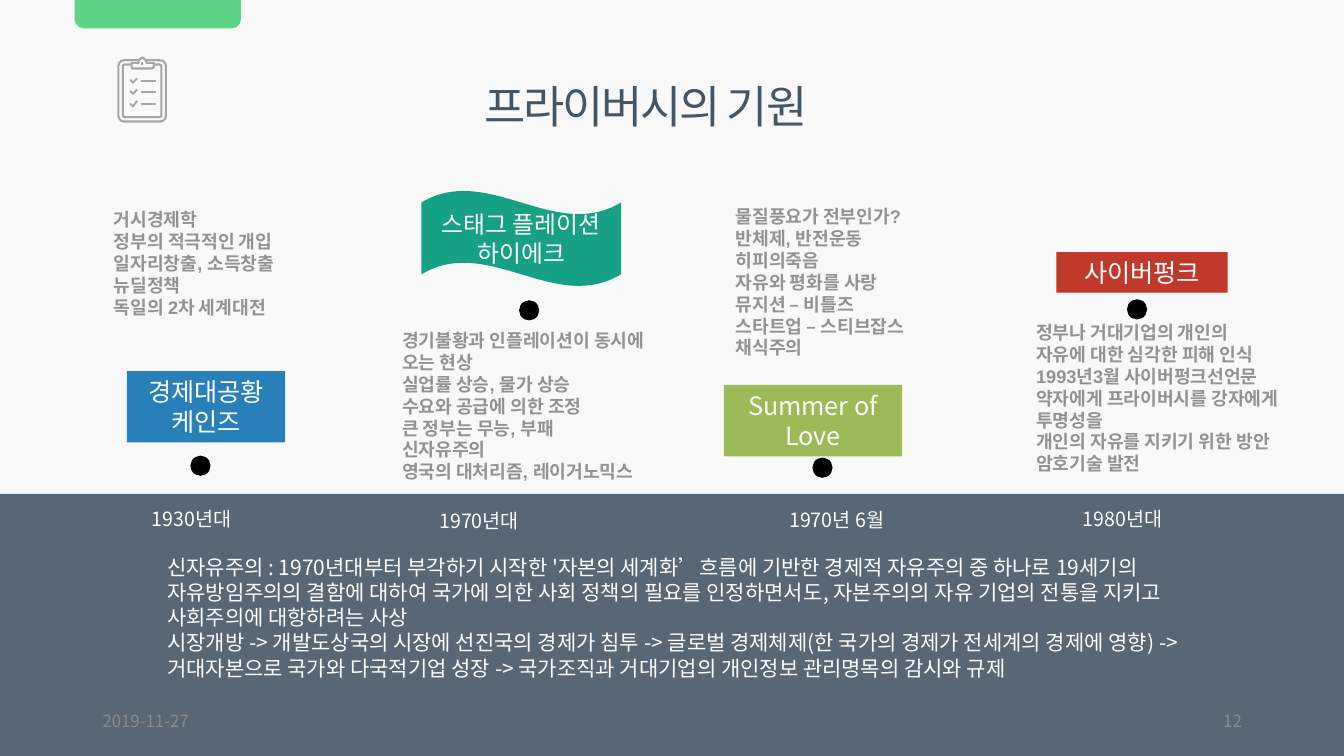
"""Build the timeline slide on the origins of privacy."""
from lxml.etree import SubElement
from pptx import Presentation
from pptx.dml.color import RGBColor
from pptx.enum.shapes import MSO_CONNECTOR as Connector, MSO_SHAPE as Shape
from pptx.enum.text import MSO_ANCHOR as Anchor, MSO_AUTO_SIZE as AutoSize, PP_ALIGN as Align
from pptx.oxml.ns import qn
from pptx.util import Pt

COLORS = {
    "paper": "F9F9F9", "slate": "445566", "white": "FFFFFF", "black": "000000",
    "blue": "2980B9", "teal": "16A085", "olive": "9BBB59", "red": "C0392B",
    "tab": "5CD484", "icon": "A6A6A6", "footer": "8C8C8C", "note": "929292",
}
SANS = "Noto Sans CJK KR"

MILESTONES = [
    dict(label=["경제대공황", "케인즈"], color="blue", sign=(90.7, 265, 113, 51),
         dot=(136, 325.5), year="1930년대", year_at=(101.5, 358.6, 91),
         notes_at=(74.2, 145.4, 145, 86),
         notes=["거시경제학", "정부의 적극적인 개입", "일자리창출, 소득창출", "뉴딜정책",
                "독일의 2차 세계대전"]),
    dict(label=["스태그 플레이션", "하이에크"], color="teal", sign=(301, 136.1, 142.6, 68.4),
         dot=(370.8, 214.5), year="1970년대", year_at=(306.7, 360, 99),
         kind=Shape.WAVE, size=17, anchor=Anchor.MIDDLE,
         notes_at=(280.1, 231.8, 200, 117),
         notes=["경기불황과 인플레이션이 동시에 오는 현상", "실업률 상승, 물가 상승",
                "수요와 공급에 의한 조정", "큰 정부는 무능, 부패", "신자유주의",
                "영국의 대처리즘, 레이거노믹스"]),
    dict(label=["Summer of Love"], color="olive", sign=(517, 275, 127.4, 51),
         dot=(580.3, 326.9), year="1970년 6월", year_at=(556.6, 359.3, 115),
         notes_at=(518.4, 143.3, 158.4, 117),
         notes=["물질풍요가 전부인가?", "반체제, 반전운동", "히피의죽음", "자유와 평화를 사랑",
                "뮤지션 – 비틀즈", "스타트업 – 스티브잡스", "채식주의"]),
    dict(label=["사이버펑크"], color="red", sign=(754.6, 180, 122.4, 29),
         dot=(805, 213.8), year="1980년대", year_at=(766.1, 358.6, 93),
         notes_at=(733, 226.1, 187.2, 117),
         notes=["정부나 거대기업의 개인의 자유에 대한 심각한 피해 인식",
                "1993년3월 사이버펑크선언문", "약자에게 프라이버시를 강자에게 투명성을",
                "개인의 자유를 지키기 위한 방안 암호기술 발전"]),
]

SUMMARY = [
    "신자유주의 : 1970년대부터 부각하기 시작한 '자본의 세계화’흐름에 기반한 경제적 자유주의 중 하나로 "
    "19세기의 자유방임주의의 결함에 대하여 국가에 의한 사회 정책의 필요를 인정하면서도, "
    "자본주의의 자유 기업의 전통을 지키고 사회주의에 대항하려는 사상",
    "시장개방 -> 개발도상국의 시장에 선진국의 경제가 침투 -> "
    "글로벌 경제체제(한 국가의 경제가 전세계의 경제에 영향) -> "
    "거대자본으로 국가와 다국적기업 성장 -> 국가조직과 거대기업의 개인정보 관리명목의 감시와 규제",
]


def write(shape, lines, size=14, color="white", font=SANS, bold=False,
          align=Align.LEFT, anchor=Anchor.TOP, spacing=0, grow=True):
    """Fill a shape with one paragraph per line in the given format."""
    frame = shape.text_frame
    frame.word_wrap = True
    frame.vertical_anchor = anchor
    frame.auto_size = AutoSize.SHAPE_TO_FIT_TEXT if grow else AutoSize.NONE
    for index, line in enumerate(lines):
        paragraph = frame.add_paragraph() if index else frame.paragraphs[0]
        paragraph.alignment = align
        run = paragraph.add_run()
        run.text = line
        run.font.size = Pt(size)
        run.font.bold = bold
        run.font.name = font
        run.font.color.rgb = RGBColor.from_string(COLORS[color])
        properties = run._r.get_or_add_rPr()
        SubElement(properties, qn("a:ea")).set("typeface", SANS)
        if spacing:
            properties.set("spc", str(int(spacing * 100)))


class Stage:
    """Hold the slide, its colours and the target for new shapes."""

    def __init__(self, slide):
        self.slide = slide
        self.shapes = slide.shapes
        slide.background.fill.solid()
        slide.background.fill.fore_color.rgb = self.rgb("paper")

    def rgb(self, color):
        return RGBColor.from_string(COLORS[color])

    def paint(self, shape, fill=None, line=None, width=1):
        shape.shadow.inherit = False
        if fill:
            shape.fill.solid()
            shape.fill.fore_color.rgb = self.rgb(fill)
        else:
            shape.fill.background()
        if line:
            shape.line.color.rgb = self.rgb(line)
            shape.line.width = Pt(width)
        else:
            shape.line.fill.background()
        return shape

    def block(self, box, kind=Shape.RECTANGLE, **look):
        return self.paint(self.shapes.add_shape(kind, *map(Pt, box)), **look)

    def text(self, box, lines, **style):
        write(self.shapes.add_textbox(*map(Pt, box)), lines, **style)

    def outline(self, points, close=False, **look):
        builder = self.shapes.build_freeform(*points[0], scale=Pt(1))
        builder.add_line_segments(points[1:], close=close)
        return self.paint(builder.convert_to_shape(), **look)

    def stroke(self, start, end, color, width):
        line = self.shapes.add_connector(Connector.STRAIGHT, *map(Pt, start + end))
        line.line.color.rgb = self.rgb(color)
        line.line.width = Pt(width)
        SubElement(line._element.spPr, qn("a:effectLst"))

    def clipboard(self):
        self.shapes = self.slide.shapes.add_group_shape().shapes
        for box, radius in (((84.6, 43, 33.9, 43.8), 0.12), ((87.8, 46.1, 27.5, 37.6), 0.05)):
            sheet = self.block(box, Shape.ROUNDED_RECTANGLE, line="icon", width=1.5)
            sheet.adjustments[0] = radius
        self.outline([(93.6, 45.4), (98.6, 45.4), (99.4, 42.6), (101.5, 41.3), (103.6, 42.6),
                      (104.8, 45.4), (109.6, 45.4), (109.6, 47.5), (108.4, 48.6),
                      (94.8, 48.6), (93.6, 47.5)],
                     close=True, fill="paper", line="icon", width=1.5)
        self.stroke((101.5, 44.2), (101.5, 46.4), "icon", 1.4)
        for row in range(3):
            y = 57.6 + 8.2 * row
            self.stroke((100.4, y), (111.2, y), "icon", 1.5)
            self.outline([(92.7, y - 0.4), (94.7, y + 1.6), (97.9, y - 1.7)],
                         line="icon", width=1.4)
        self.shapes = self.slide.shapes

    def milestone(self, label, color, sign, dot, year, year_at, notes_at, notes,
                  kind=Shape.RECTANGLE, size=18, anchor=Anchor.TOP):
        banner = self.block(sign, kind, fill=color)
        write(banner, label, size=size, align=Align.CENTER, anchor=anchor,
              grow=kind == Shape.RECTANGLE)
        self.block((*dot, 14.4, 14.4), Shape.OVAL, fill="black")
        self.text((*year_at, 24.5), [year])
        self.text(notes_at, notes, size=13, color="note", font="Arial", bold=True)


def main():
    deck = Presentation()
    deck.slide_width, deck.slide_height = Pt(960), Pt(540)
    stage = Stage(deck.slides.add_slide(deck.slide_layouts[6]))

    band = stage.block((0, 352.8, 960, 187.2), fill="slate")
    tint = band._element.spPr.find(qn("a:solidFill"))[0]
    SubElement(tint, qn("a:alpha")).set("val", "89000")

    tab = stage.block((53.3, 0, 118.8, 20.2), Shape.ROUND_2_SAME_RECTANGLE, fill="tab")
    tab.adjustments[0] = 0.32
    tab.rotation = 180
    stage.clipboard()
    stage.text((319, 52.6, 284.4, 46), ["프라이버시의 기원"], size=32, color="slate",
               align=Align.CENTER, spacing=-1.5)

    for milestone in MILESTONES:
        stage.milestone(**milestone)

    stage.text((112.3, 392.4, 754.6, 98), SUMMARY, size=15)
    for left, entry, align in ((66.2, "2019-11-27", Align.LEFT), (678.2, "12", Align.RIGHT)):
        stage.text((left, 500.4, 216, 28.8), [entry], size=12, color="footer",
                   align=align, anchor=Anchor.MIDDLE, grow=False)
    deck.save("out.pptx")


if __name__ == "__main__":
    main()
